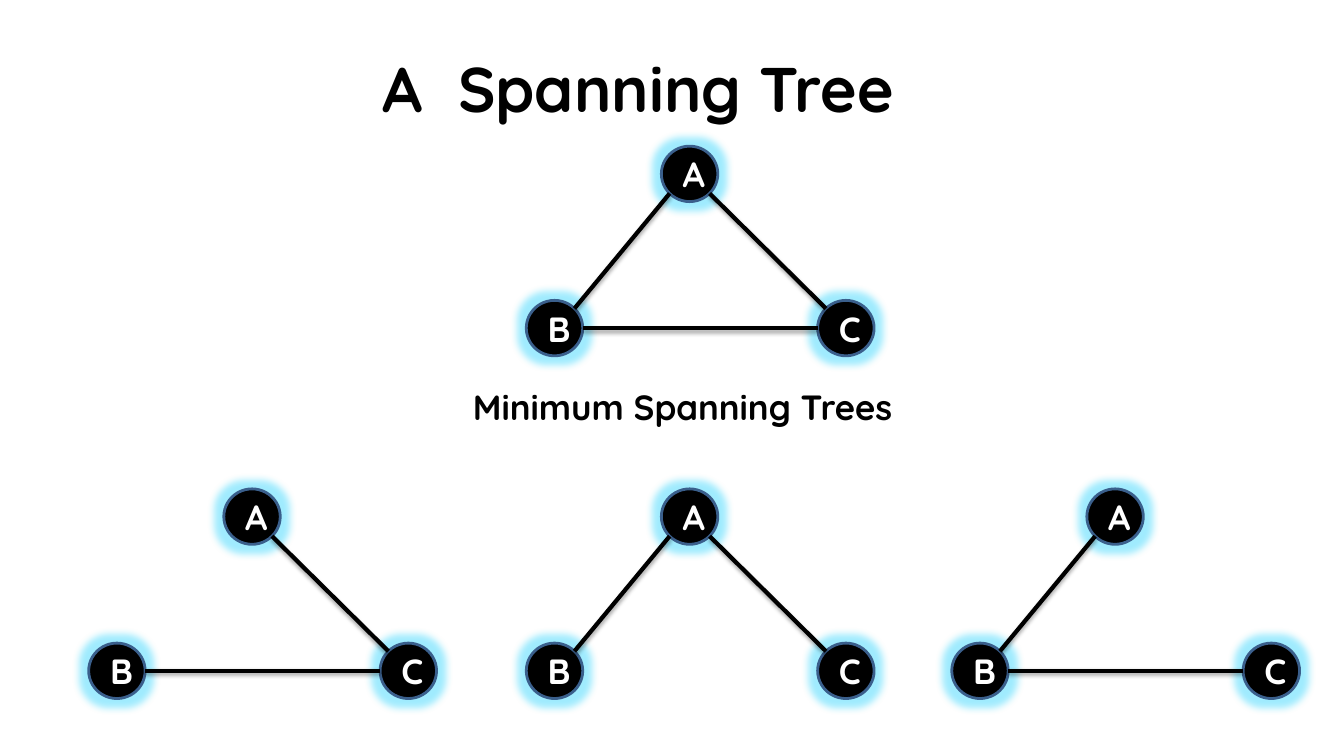
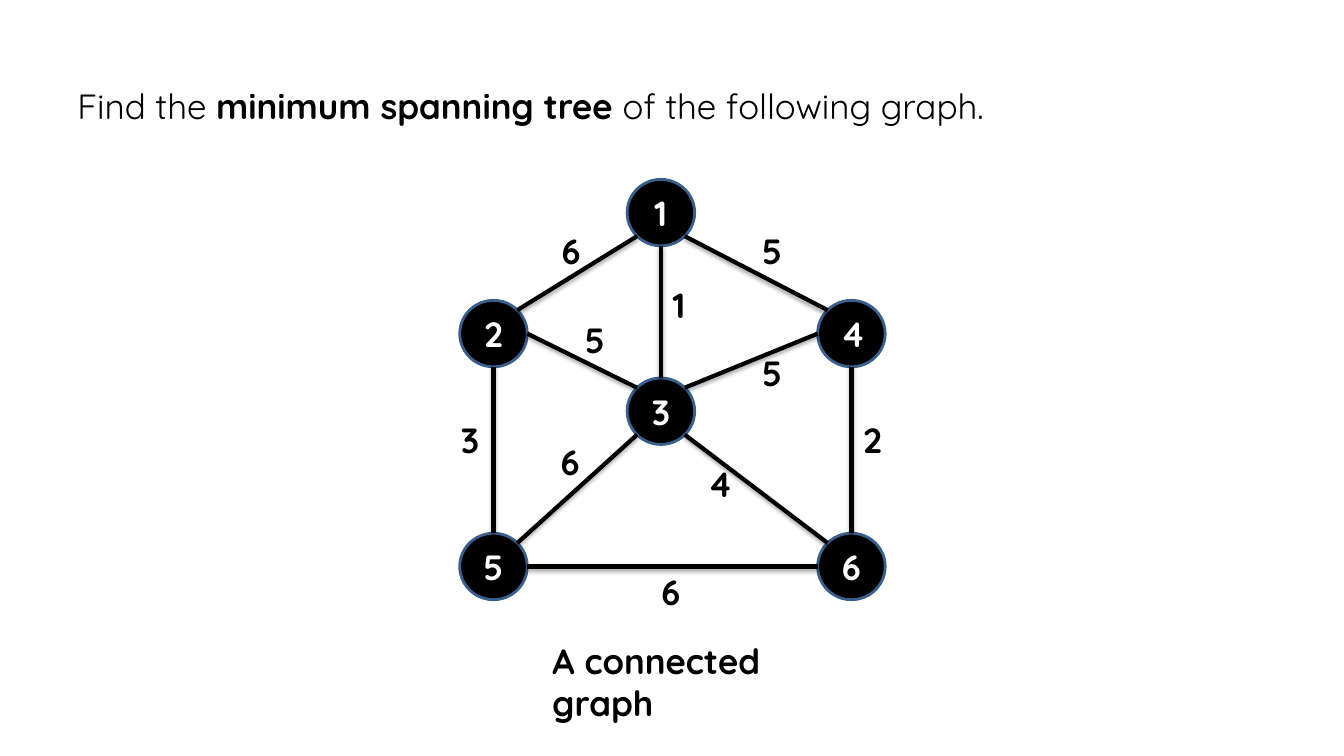
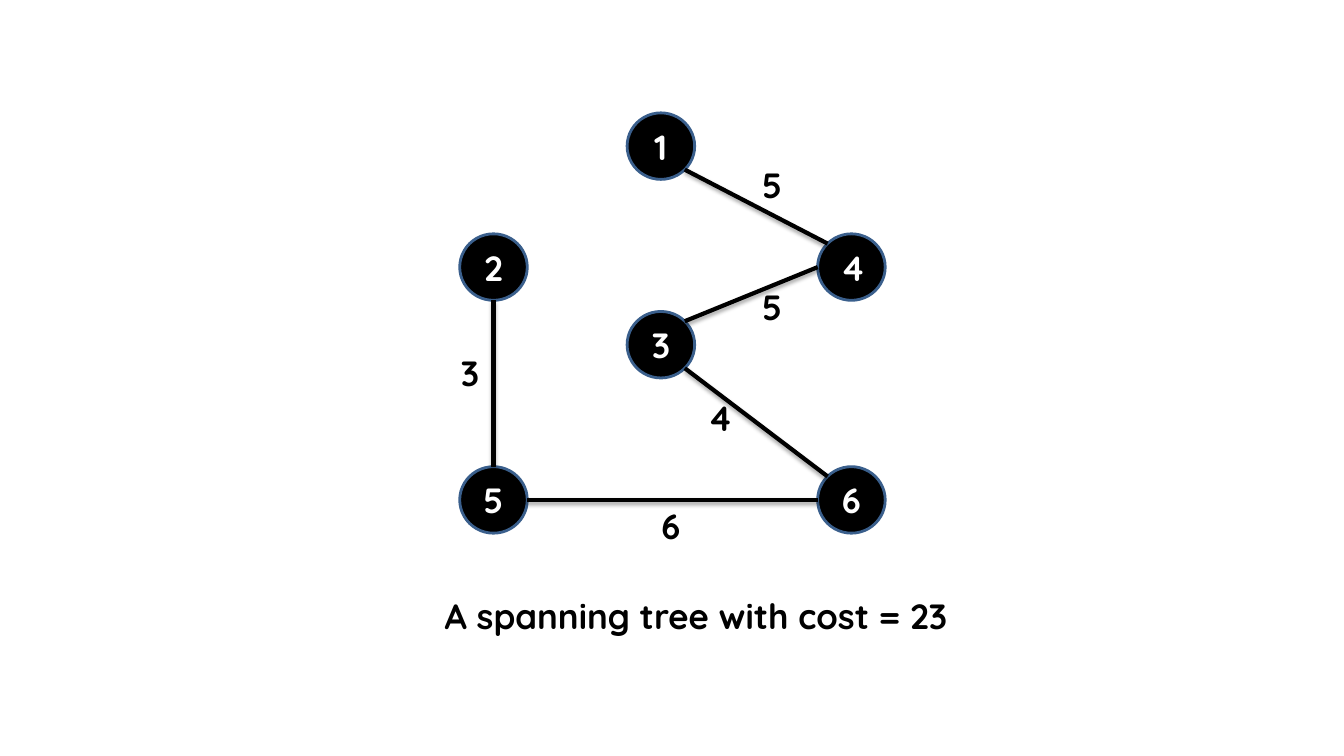
import math
from dataclasses import dataclass

import lxml.etree
import pptx
import pptx.dml.color
import pptx.enum.shapes
import pptx.enum.text
import pptx.oxml
import pptx.oxml.ns
import pptx.util

Inches = pptx.util.Inches
Pt = pptx.util.Pt
qn = pptx.oxml.ns.qn
ALIGN = pptx.enum.text.PP_ALIGN
ANCHOR = pptx.enum.text.MSO_ANCHOR


@dataclass(frozen=True)
class Theme:
    font: str = "Quicksand"
    ink: str = "000000"
    paper: str = "FFFFFF"
    outline: str = "3A5F8C"
    glow: str = "12CFFF"
    title_size: int = 45
    text_size: int = 25
    outline_width: int = 2
    edge_width: int = 3
    label_insets: tuple = (0.13, 0.07)
    plain_insets: tuple = (0.1, 0.05)


# Ellipse connection sites, counterclockwise from the top
TOP, TOP_LEFT, LEFT, BOTTOM_LEFT, BOTTOM, BOTTOM_RIGHT, RIGHT, TOP_RIGHT = range(8)

TRIANGLE = {"A": (0, 0), "B": (-1.34, 1.53), "C": (1.55, 1.53)}
TRIANGLE_NODE = (0.56, 0.55)
TRIANGLE_EDGES = {
    "BA": (TOP_RIGHT, BOTTOM_LEFT),
    "CA": (TOP_LEFT, BOTTOM_RIGHT),
    "CB": (LEFT, RIGHT),
}
TRIANGLE_DRAWINGS = [
    (6.56, 1.45, ["BA", "CA", "CB"]),
    (6.56, 4.85, ["BA", "CA"]),
    (10.78, 4.85, ["BA", "CB"]),
    (2.22, 4.85, ["CA", "CB"]),
]

GRAPH = {"1": (6.22, 1.78), "2": (4.56, 2.98), "3": (6.22, 3.75),
         "4": (8.11, 2.98), "6": (8.11, 5.29), "5": (4.56, 5.29)}
GRAPH_NODE = (0.67, 0.66)
GRAPH_EDGES = {
    "21": (TOP_RIGHT, BOTTOM_LEFT),
    "31": (TOP, BOTTOM),
    "41": (TOP_LEFT, BOTTOM_RIGHT),
    "43": (LEFT, TOP_RIGHT),
    "32": (TOP_LEFT, RIGHT),
    "52": (TOP, BOTTOM),
    "64": (TOP, BOTTOM),
    "65": (LEFT, RIGHT),
    "53": (TOP_RIGHT, BOTTOM_LEFT),
    "63": (TOP_LEFT, BOTTOM_RIGHT),
}
WEIGHTS = {
    "21": ("6", 5.44, 2.21), "41": ("5", 7.43, 2.21), "31": ("1", 6.54, 2.74),
    "32": ("5", 5.67, 3.09), "43": ("5", 7.43, 3.42), "64": ("2", 8.43, 4.08),
    "63": ("4", 6.89, 4.52), "53": ("6", 5.43, 4.3), "52": ("3", 4.44, 4.08),
    "65": ("6", 6.43, 5.59),
}
SPANNING_TREE = ["41", "43", "52", "65", "63"]
TREE_SHIFT = -0.66


class Deck:
    def __init__(self, theme):
        self.theme = theme
        self.deck = pptx.Presentation()
        self.deck.slide_width = Inches(13.33)
        self.deck.slide_height = Inches(7.5)
        self.page = None

    def new_page(self):
        self.page = self.deck.slides.add_slide(self.deck.slide_layouts[6])

    def color(self, value):
        return pptx.dml.color.RGBColor.from_string(value)

    def fill_frame(self, frame, spans, color, size, align, anchor, insets):
        """Fill a text frame with one paragraph of (text, bold) spans."""
        frame.word_wrap = True
        frame.vertical_anchor = anchor
        frame.margin_left = frame.margin_right = Inches(insets[0])
        frame.margin_top = frame.margin_bottom = Inches(insets[1])
        para = frame.paragraphs[0]
        para.alignment = align
        for text, bold in spans:
            span = para.add_run()
            span.text = text
            span.font.name = self.theme.font
            span.font.size = Pt(size)
            span.font.bold = bold
            span.font.color.rgb = self.color(color)

    def text(self, at, spans, size=None, align=ALIGN.LEFT, anchor=ANCHOR.TOP, insets=None):
        box = self.page.shapes.add_textbox(*map(Inches, at))
        self.fill_frame(box.text_frame, spans, self.theme.ink, size or self.theme.text_size,
                        align, anchor, insets or self.theme.plain_insets)
        return box

    def label(self, at, text, align=ALIGN.LEFT):
        box = self.text(at, [(text, True)], align=align, insets=self.theme.label_insets)
        box.text_frame.auto_size = pptx.enum.text.MSO_AUTO_SIZE.SHAPE_TO_FIT_TEXT

    def effect(self, shape, kind, color, alpha, **settings):
        """Give the shape a single effect, such as a glow or a shadow."""
        effects = lxml.etree.SubElement(shape.element.spPr, qn("a:effectLst"))
        item = lxml.etree.SubElement(effects, qn(f"a:{kind}"),
                                     {key: str(value) for key, value in settings.items()})
        tint = lxml.etree.SubElement(item, qn("a:srgbClr"), val=color)
        lxml.etree.SubElement(tint, qn("a:alpha"), val=str(alpha * 1000))

    def node(self, name, left, top, size, glowing):
        oval = self.page.shapes.add_shape(pptx.enum.shapes.MSO_SHAPE.OVAL,
                                          *map(Inches, (left, top, *size)))
        oval.fill.solid()
        oval.fill.fore_color.rgb = self.color(self.theme.ink)
        oval.line.color.rgb = self.color(self.theme.outline)
        oval.line.width = Pt(self.theme.outline_width)
        if glowing:
            self.effect(oval, "glow", self.theme.glow, 40, rad=Pt(11))
        else:
            oval.shadow.inherit = False
        self.fill_frame(oval.text_frame, [(name, True)], self.theme.paper,
                        self.theme.text_size, ALIGN.CENTER, ANCHOR.MIDDLE,
                        self.theme.label_insets)
        return oval

    def site_point(self, oval, site):
        angle = math.radians(90 + 45 * site)
        return (round(oval.left + oval.width / 2 * (1 + math.cos(angle))),
                round(oval.top + oval.height / 2 * (1 - math.sin(angle))))

    def edge(self, start, start_site, end, end_site):
        """Join two ovals; begin_connect knows only the four sites of a rectangle."""
        line = self.page.shapes.add_connector(pptx.enum.shapes.MSO_CONNECTOR.STRAIGHT,
                                              *self.site_point(start, start_site),
                                              *self.site_point(end, end_site))
        joints = line.element.find(".//" + qn("p:cNvCxnSpPr"))
        for tag, oval, site in (("a:stCxn", start, start_site), ("a:endCxn", end, end_site)):
            lxml.etree.SubElement(joints, qn(tag), id=str(oval.shape_id), idx=str(site))
        line.line.color.rgb = self.color(self.theme.ink)
        line.line.width = Pt(self.theme.edge_width)
        self.effect(line, "outerShdw", self.theme.ink, 35, blurRad=Pt(3.1),
                    dist=Pt(1.8), dir=5400000, rotWithShape=0)

    def graph(self, places, size, edges, chosen, left=0, top=0, glowing=False):
        nodes = {name: self.node(name, left + x, top + y, size, glowing)
                 for name, (x, y) in places.items()}
        for key in chosen:
            start_site, end_site = edges[key]
            self.edge(nodes[key[0]], start_site, nodes[key[1]], end_site)

    def weighted_graph(self, chosen, shift=0):
        self.graph(GRAPH, GRAPH_NODE, GRAPH_EDGES, chosen, top=shift)
        for key in chosen:
            weight, left, top = WEIGHTS[key]
            self.label((left, top + shift, 0.48, 0.55), weight)


def main():
    theme = Theme()
    deck = Deck(theme)

    deck.new_page()
    deck.text((0.33, 0.24, 12, 1.25), [("A  Spanning Tree", True)],
              theme.title_size, ALIGN.CENTER, ANCHOR.MIDDLE)
    for left, top, chosen in TRIANGLE_DRAWINGS:
        deck.graph(TRIANGLE, TRIANGLE_NODE, TRIANGLE_EDGES, chosen, left, top, glowing=True)
    deck.label((4.53, 3.75, 4.48, 0.55), "Minimum Spanning Trees ", ALIGN.CENTER)

    deck.new_page()
    deck.text((0.67, 0.79, 12, 0.6), [("Find the ", False), ("minimum spanning tree ", True),
                                      ("of the following graph.", False)])
    deck.weighted_graph(GRAPH_EDGES)
    deck.label((5.35, 6.27, 3.34, 0.55), "A connected graph")

    deck.new_page()
    deck.weighted_graph(SPANNING_TREE, TREE_SHIFT)
    deck.label((4.28, 5.83, 5.25, 0.55), "A spanning tree with cost = 23")

    deck.deck.save("out.pptx")


if __name__ == "__main__":
    main()
